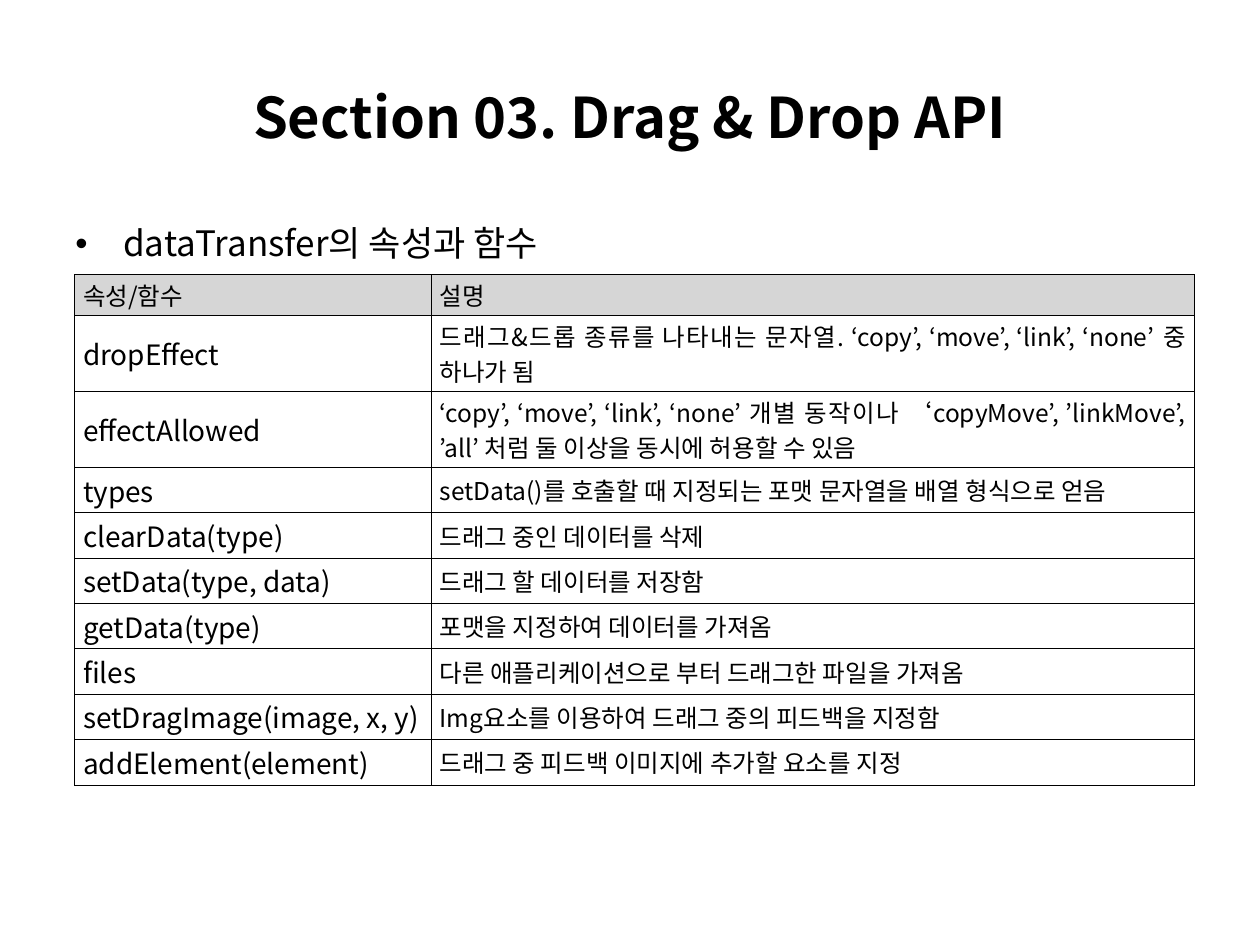
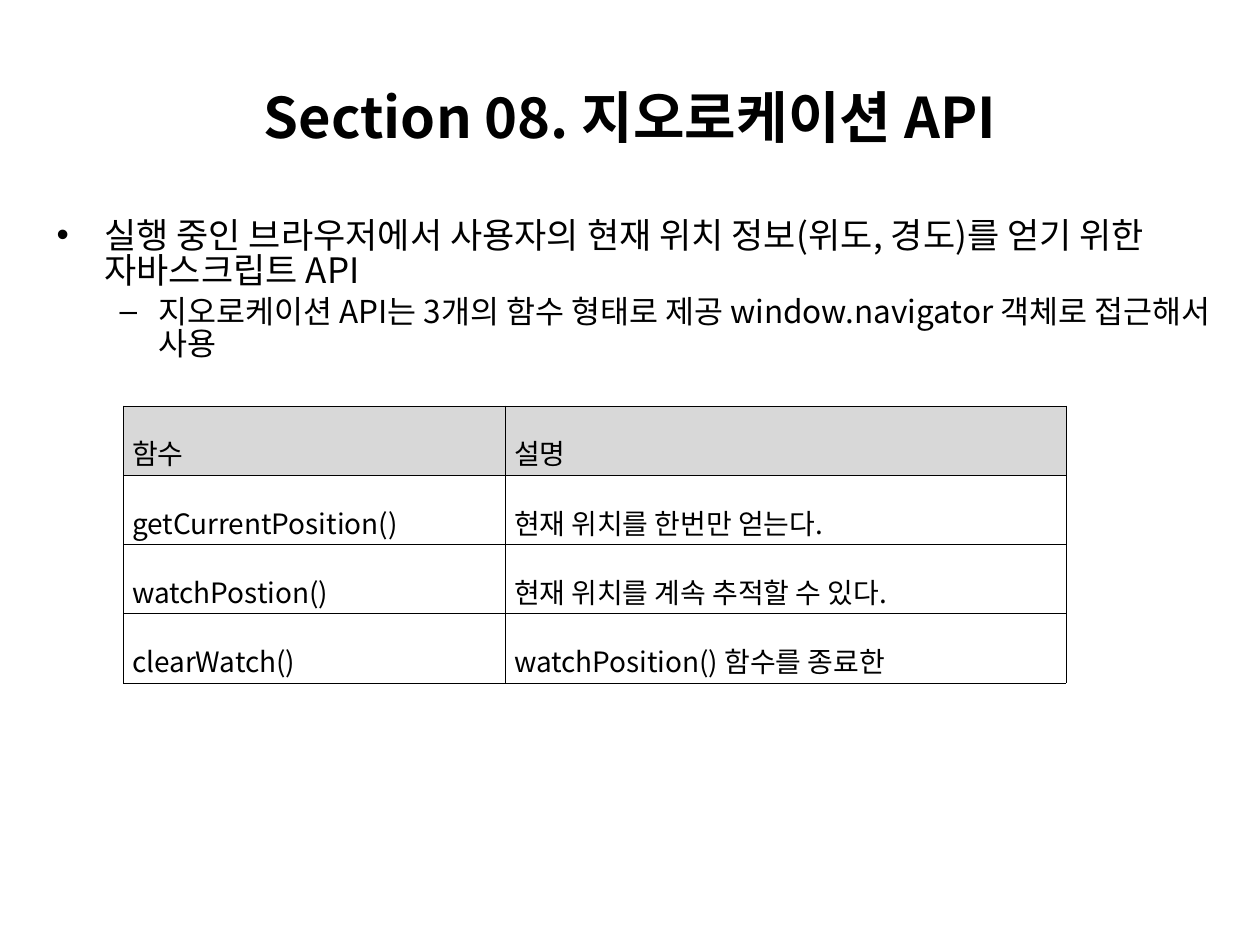
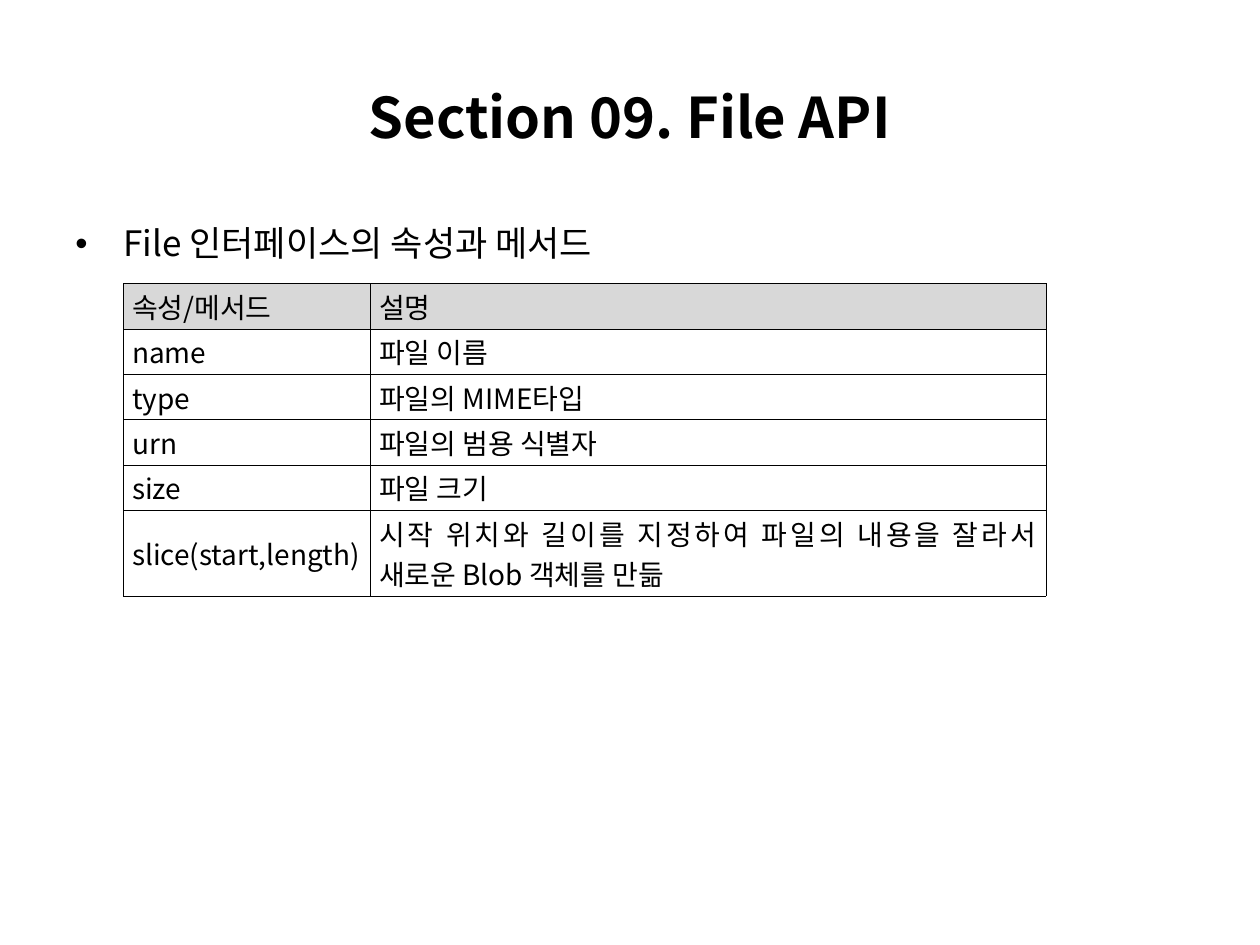
from pptx import Presentation
from pptx.dml.color import RGBColor
from pptx.enum.text import MSO_ANCHOR as ANCHOR, PP_ALIGN as ALIGN
from pptx.oxml.ns import qn
from pptx.util import Emu, Inches, Pt
from lxml.etree import SubElement

BLACK = RGBColor(0x00, 0x00, 0x00)
GREY_D6 = RGBColor(0xD6, 0xD6, 0xD6)
GREY_D8 = RGBColor(0xD8, 0xD8, 0xD8)
FONT = "Noto Sans CJK KR"
COLUMNS, ROWS = 100, 75
BULLETS = [("•", 20, 0.38, -0.38), ("–", 18, 0.81, -0.31)]
CELL = {"vertical_anchor": ANCHOR.MIDDLE, "margin_left": Inches(0.07),
        "margin_right": Inches(0.07), "margin_top": Inches(0.02),
        "margin_bottom": Inches(0.02)}
PLAIN = {"first_row": False, "horz_banding": False}


def assign(obj, values):
    for name, value in values.items():
        setattr(obj, name, value)


class Deck:
    def __init__(self):
        self.prs = Presentation()
        assign(self.prs, {"slide_width": Inches(10), "slide_height": Inches(7.5)})
        self.s = None

    def x(self, columns):
        return Emu(round(self.prs.slide_width * columns / COLUMNS))

    def y(self, rows):
        return Emu(round(self.prs.slide_height * rows / ROWS))

    def slide(self, title):
        self.s = self.prs.slides.add_slide(self.prs.slide_layouts[6])
        tf = self.box(5, 3, 90, 12.5)
        tf.vertical_anchor = ANCHOR.MIDDLE
        self.text(tf.paragraphs[0], title, 32, bold=True, alignment=ALIGN.CENTER)

    def box(self, left, top, width, height):
        sp = self.s.shapes.add_textbox(self.x(left), self.y(top),
                                       self.x(width), self.y(height))
        sp.text_frame.word_wrap = True
        return sp.text_frame

    def text(self, p, text, size, bold=False, **layout):
        assign(p, layout)
        r = p.add_run()
        r.text = text
        assign(r.font, {"name": FONT, "size": Pt(size), "bold": bold})
        r.font.color.rgb = BLACK
        SubElement(r._r.get_or_add_rPr(), qn("a:ea"), typeface=FONT)

    def bullets(self, place, items, spacing=0.9):
        tf = self.box(*place)
        for i, (level, text) in enumerate(items):
            p = tf.add_paragraph() if i else tf.paragraphs[0]
            char, size, margin, indent = BULLETS[level]
            pPr = p._p.get_or_add_pPr()
            pPr.set("marL", str(Inches(margin)))
            pPr.set("indent", str(Inches(indent)))
            SubElement(pPr, qn("a:buFont"), typeface="Arial")
            SubElement(pPr, qn("a:buChar"), char=char)
            self.text(p, text, size, level=level, line_spacing=spacing,
                      space_before=Pt(4 if i else 0))

    def borders(self, cell):
        tcPr = cell._tc.get_or_add_tcPr()
        for i, side in enumerate(("lnL", "lnR", "lnT", "lnB")):
            ln = tcPr.makeelement(qn(f"a:{side}"), {"w": str(Pt(0.28))})
            fill = SubElement(ln, qn("a:solidFill"))
            SubElement(fill, qn("a:srgbClr"), val=str(BLACK))
            tcPr.insert(i, ln)

    def table(self, left, top, widths, heights, data, header, sizes=(16, 16),
              header_size=16, spacing=1.0):
        frame = self.s.shapes.add_table(len(data), len(widths), self.x(left), self.y(top),
                                        self.x(sum(widths)), self.y(sum(heights)))
        tbl = frame.table
        assign(tbl, PLAIN)
        for column, width in zip(tbl.columns, widths):
            column.width = self.x(width)
        for row, height in zip(tbl.rows, heights):
            row.height = self.y(height)
        for i, texts in enumerate(data):
            for j, text in enumerate(texts):
                cell = tbl.cell(i, j)
                assign(cell, CELL)
                if i == 0:
                    cell.fill.solid()
                    cell.fill.fore_color.rgb = header
                else:
                    cell.fill.background()
                self.borders(cell)
                self.text(cell.text_frame.paragraphs[0], text,
                          sizes[j] if i else header_size,
                          alignment=ALIGN.JUSTIFY, line_spacing=spacing)


TRANSFER = [
    ("속성/함수", "설명"),
    ("dropEffect", "드래그&드롭 종류를 나타내는 문자열. ‘copy’, ‘move’, ‘link’, ‘none’ 중 하나가 됨"),
    ("effectAllowed", "‘copy’, ‘move’, ‘link’, ‘none’ 개별 동작이나 ‘copyMove’, ’linkMove’, "
                      "’all’ 처럼 둘 이상을 동시에 허용할 수 있음"),
    ("types", "setData()를 호출할 때 지정되는 포맷 문자열을 배열 형식으로 얻음"),
    ("clearData(type)", "드래그 중인 데이터를 삭제"),
    ("setData(type, data)", "드래그 할 데이터를 저장함"),
    ("getData(type)", "포맷을 지정하여 데이터를 가져옴"),
    ("files", "다른 애플리케이션으로 부터 드래그한 파일을 가져옴"),
    ("setDragImage(image, x, y)", "Img요소를 이용하여 드래그 중의 피드백을 지정함"),
    ("addElement(element)", "드래그 중 피드백 이미지에 추가할 요소를 지정"),
]
GEOLOCATION = [
    ("함수", "설명"),
    ("getCurrentPosition()", "현재 위치를 한번만 얻는다."),
    ("watchPostion()", "현재 위치를 계속 추적할 수 있다."),
    ("clearWatch()", "watchPosition() 함수를 종료한"),
]
FILE = [
    ("속성/메서드", "설명"),
    ("name", "파일 이름"),
    ("type", "파일의 MIME타입"),
    ("urn", "파일의 범용 식별자"),
    ("size", "파일 크기"),
    ("slice(start,length)", "시작 위치와 길이를 지정하여 파일의 내용을 잘라서 새로운 Blob 객체를 만듦"),
]


def main():
    deck = Deck()

    deck.slide("Section 03. Drag & Drop API")
    deck.bullets((5, 17.5, 93.8, 4.3), [(0, "dataTransfer의 속성과 함수")])
    deck.table(5.9, 21.8, (28.3, 60.6), [3.2] + [6.05] * 2 + [3.6] * 7, TRANSFER,
               GREY_D6, sizes=(16, 14), header_size=14)

    deck.slide("Section 08. 지오로케이션 API")
    deck.bullets((3.5, 17, 94.5, 39.4), [
        (0, "실행 중인 브라우저에서 사용자의 현재 위치 정보(위도, 경도)를 얻기 위한 자바스크립트 API"),
        (1, "지오로케이션 API는 3개의 함수 형태로 제공 window.navigator 객체로 접근해서 사용"),
    ], spacing=0.84)
    deck.table(9.8, 32.2, (30.3, 44.5), [5.5] * 4, GEOLOCATION, GREY_D8, spacing=1.6)

    deck.slide("Section 09. File API")
    deck.bullets((5, 17.5, 90, 49.5), [(0, "File 인터페이스의 속성과 메서드")])
    deck.table(9.8, 22.5, (19.6, 53.6), [3.6] * 5 + [6.8], FILE, GREY_D8)

    deck.prs.save("out.pptx")


if __name__ == "__main__":
    main()
